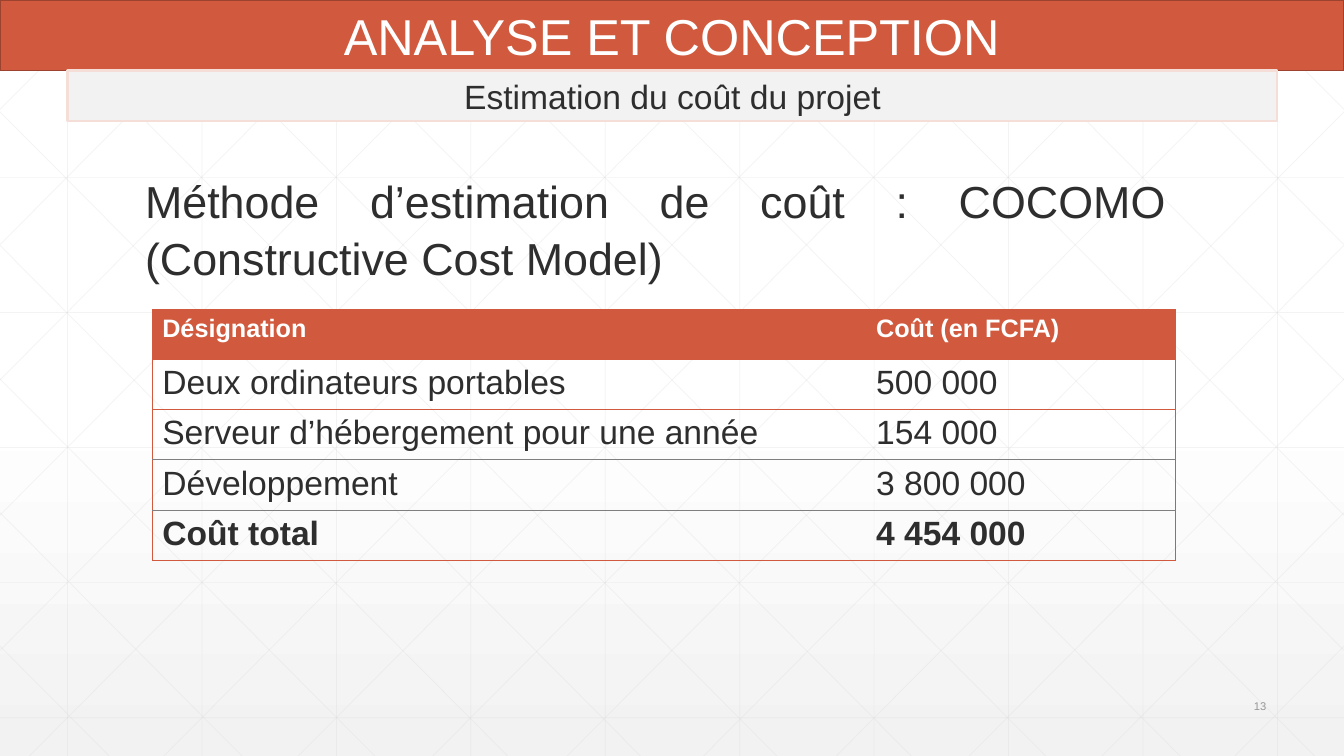
from dataclasses import dataclass
from typing import Any, Iterator, Optional

import pptx
import pptx.dml.color
import pptx.enum.shapes
import pptx.enum.text
import pptx.oxml
import pptx.oxml.ns
import pptx.util
from pptx.util import Inches, Pt

RGBColor = pptx.dml.color.RGBColor
ALIGN = pptx.enum.text.PP_ALIGN
ANCHOR = pptx.enum.text.MSO_ANCHOR

WHITE = RGBColor(0xFF, 0xFF, 0xFF)
PALE = RGBColor(0xF2, 0xF2, 0xF2)
GRID = RGBColor(0xD9, 0xD9, 0xD9)
ORANGE = RGBColor(0xD1, 0x5A, 0x3E)
RUST = RGBColor(0x9B, 0x43, 0x2E)
BLUSH = RGBColor(0xF6, 0xDE, 0xD8)
INK = RGBColor(0x2D, 0x2E, 0x2D)
MUTED = RGBColor(0x95, 0x97, 0x95)
RULE = RGBColor(0x7F, 0x7F, 0x7F)

WIDTH, HEIGHT = 13.33, 7.5
PITCH = 4 / 3
SLOPE = 1.006
FONT = "Arial"


@dataclass(frozen=True)
class Line:
    x1: float
    y1: float
    x2: float
    y2: float


@dataclass(frozen=True)
class Block:
    text: str
    left: float
    top: float
    width: float
    height: float
    size: float
    color: RGBColor
    align: Any
    anchor: Any = ANCHOR.TOP
    spacing: float = 1.0
    fill: Optional[RGBColor] = None
    border: Optional[RGBColor] = None
    border_width: float = 1


@dataclass(frozen=True)
class Row:
    label: str
    cost: str
    height: float = 0.5
    size: float = 24
    bold: bool = False
    color: RGBColor = INK
    fill: Optional[RGBColor] = None


TITLE = Block("ANALYSE ET CONCEPTION", 0, 0, WIDTH, 0.7, 36, WHITE, ALIGN.CENTER,
              ANCHOR.MIDDLE, fill=ORANGE, border=RUST)
SUBTITLE = Block("Estimation du coût du projet", 0.67, 0.7, 12, 0.5, 24, INK, ALIGN.CENTER,
                 fill=PALE, border=BLUSH, border_width=1.5)
METHOD = Block("Méthode d’estimation de coût : COCOMO (Constructive Cost Model)",
               1.34, 1.65, 10.33, 1.18, 32, INK, ALIGN.JUSTIFY, spacing=1.05)
PAGE = Block("13", 11.66, 6.88, 1, 0.24, 8, MUTED, ALIGN.RIGHT, ANCHOR.MIDDLE)

COSTS = [
    Row("Désignation", "Coût (en FCFA)", 0.49, 18, True, WHITE, ORANGE),
    Row("Deux ordinateurs portables", "500 000"),
    Row("Serveur d’hébergement pour une année", "154 000"),
    Row("Développement", "3 800 000"),
    Row("Coût total", "4 454 000", bold=True),
]
COLUMN_WIDTHS = [7.08, 3.07]
ROW_EDGES = [ORANGE, ORANGE, ORANGE, RULE, RULE, ORANGE]
COLUMN_EDGES = [ORANGE, None, ORANGE]


def apply(target: Any, values: dict[str, Any]) -> None:
    for name, value in values.items():
        setattr(target, name, value)


def grid_lines() -> Iterator[Line]:
    """Verticals, horizontals, then diagonals, each with its mirror image."""
    for i in range(10):
        x = 0.67 + PITCH * i
        yield Line(x, 0, x, HEIGHT)
    for i in range(6):
        y = 0.42 + 1.34 * i
        yield Line(0, y, WIDTH, y)
    starts = [(0.25 + PITCH * i, 0.0) for i in range(10)]
    starts += [(0.0, 1.11 + 1.325 * i) for i in range(5)]
    for x, y in starts:
        run = min(WIDTH - x, (HEIGHT - y) / SLOPE)
        end_x, end_y = x + run, y + run * SLOPE
        yield Line(x, y, end_x, end_y)
        yield Line(WIDTH - x, y, WIDTH - end_x, end_y)


def draw_grid_line(s: Any, line: Line) -> None:
    cx = s.shapes.add_connector(
        pptx.enum.shapes.MSO_CONNECTOR.STRAIGHT,
        Inches(line.x1), Inches(line.y1), Inches(line.x2), Inches(line.y2))
    cx.line.width = Pt(0.5)
    cx.line.color.rgb = GRID
    color = cx.element.find(".//" + pptx.oxml.ns.qn("a:srgbClr"))
    pptx.oxml.ns.qn("a:alpha")
    color.append(xml('<a:alpha %s val="30000"/>'))
    cx.element.spPr.append(xml("<a:effectLst %s/>"))


def xml(template: str) -> Any:
    """Parse a fragment whose %s stands for the drawing namespace."""
    return pptx.oxml.parse_xml(template % pptx.oxml.ns.nsdecls("a"))


def write(tf: Any, text: str, size: float, color: RGBColor, bold: bool = False) -> Any:
    p = tf.paragraphs[0]
    r = p.add_run()
    r.text = text
    apply(r.font, {"name": FONT, "size": Pt(size), "bold": bold})
    r.font.color.rgb = color
    return p


def format_block(sp: Any, block: Block) -> None:
    apply(sp, {"left": Inches(block.left), "top": Inches(block.top),
               "width": Inches(block.width), "height": Inches(block.height)})
    if block.fill is not None:
        sp.shadow.inherit = False
        sp.fill.solid()
        sp.fill.fore_color.rgb = block.fill
        sp.line.color.rgb = block.border
        sp.line.width = Pt(block.border_width)
    tf = sp.text_frame
    apply(tf, {"word_wrap": True, "vertical_anchor": block.anchor,
               "auto_size": pptx.enum.text.MSO_AUTO_SIZE.NONE})
    p = write(tf, block.text, block.size, block.color)
    apply(p, {"alignment": block.align, "line_spacing": block.spacing})


def set_border(cell: Any, side: str, color: Optional[RGBColor]) -> None:
    paint = ("<a:noFill/>" if color is None
             else f'<a:solidFill><a:srgbClr val="{color}"/></a:solidFill>')
    cell._tc.get_or_add_tcPr().append(xml(f'<a:ln{side} %s w="6350">{paint}</a:ln{side}>'))


def draw_costs(s: Any) -> None:
    table = s.shapes.add_table(
        len(COSTS), len(COLUMN_WIDTHS), Inches(1.51), Inches(3.07),
        Inches(sum(COLUMN_WIDTHS)), Inches(sum(row.height for row in COSTS))).table
    apply(table, {"first_row": False, "horz_banding": False})
    for column, width in zip(table.columns, COLUMN_WIDTHS):
        column.width = Inches(width)
    for i, row in enumerate(COSTS):
        table.rows[i].height = Inches(row.height)
        for j, text in enumerate((row.label, row.cost)):
            cell = table.cell(i, j)
            edges = {"L": COLUMN_EDGES[j], "R": COLUMN_EDGES[j + 1],
                     "T": ROW_EDGES[i], "B": ROW_EDGES[i + 1]}
            for side, color in edges.items():
                set_border(cell, side, color)
            if row.fill is None:
                cell.fill.background()
            else:
                cell.fill.solid()
                cell.fill.fore_color.rgb = row.fill
            write(cell.text_frame, text, row.size, row.color, row.bold)


def paint_background(s: Any) -> None:
    fill = s.background.fill
    fill.gradient()
    fill.gradient_angle = 270
    for stop, position, color in zip(fill.gradient_stops, (0.53, 1), (WHITE, PALE)):
        stop.position = position
        stop.color.rgb = color


def main() -> None:
    prs = pptx.Presentation()
    apply(prs, {"slide_width": Inches(WIDTH), "slide_height": Inches(HEIGHT)})
    s = prs.slides.add_slide(prs.slide_layouts[5])
    paint_background(s)
    for line in grid_lines():
        draw_grid_line(s, line)

    title = s.shapes.title
    title.element.getparent().append(title.element)  # bring in front of the grid
    format_block(title, TITLE)
    bar = s.shapes.add_shape(pptx.enum.shapes.MSO_SHAPE.RECTANGLE, 0, 0, 0, 0)
    format_block(bar, SUBTITLE)
    format_block(s.shapes.add_textbox(0, 0, 0, 0), METHOD)
    draw_costs(s)
    format_block(s.shapes.add_textbox(0, 0, 0, 0), PAGE)
    prs.save("out.pptx")


if __name__ == "__main__":
    main()
